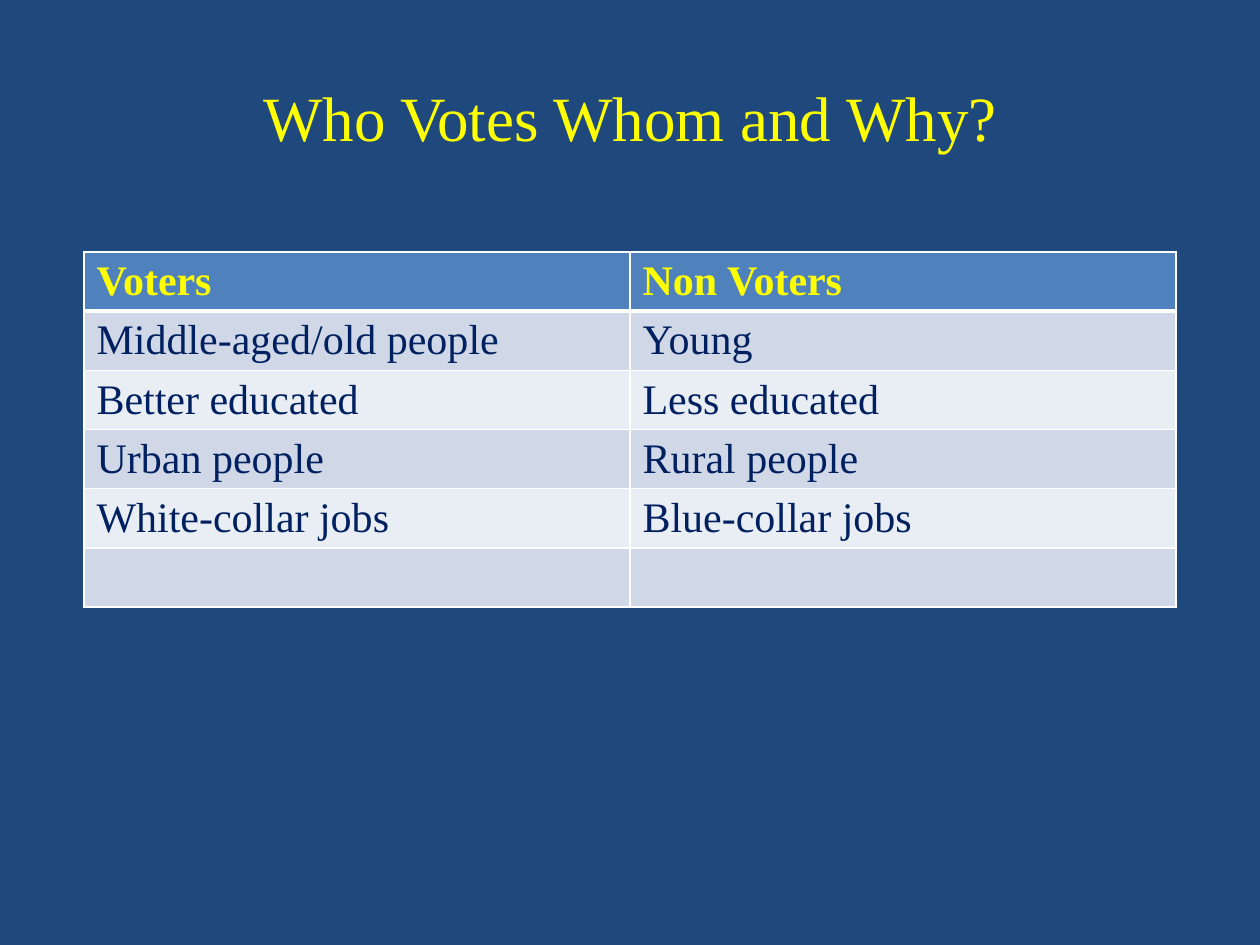
from lxml import etree
from pptx import Presentation
from pptx.dml.color import RGBColor
from pptx.enum.text import MSO_ANCHOR, PP_ALIGN
from pptx.oxml.ns import qn
from pptx.util import Inches, Pt

MIDDLE = MSO_ANCHOR.MIDDLE
CENTER = PP_ALIGN.CENTER

BLUE = RGBColor(0x1F, 0x49, 0x7D)
HEAD = RGBColor(0x4F, 0x81, 0xBD)
BANDS = [RGBColor(0xE9, 0xED, 0xF4), RGBColor(0xD0, 0xD8, 0xE8)]
YELLOW = RGBColor(0xFF, 0xFF, 0x00)
NAVY = RGBColor(0x00, 0x20, 0x60)
WHITE = RGBColor(0xFF, 0xFF, 0xFF)
FACE = "Times New Roman"

ROWS = [
    ("Voters", "Non Voters"),
    ("Middle-aged/old people", "Young"),
    ("Better educated", "Less educated"),
    ("Urban people", "Rural people"),
    ("White-collar jobs", "Blue-collar jobs"),
    ("", ""),
]


def style(font, color, **values):
    font.color.rgb = color
    for name, value in values.items():
        setattr(font, name, value)


def border(cell, side, width):
    props = cell._tc.get_or_add_tcPr()
    line = etree.SubElement(props, qn(f"a:ln{side}"), w=str(Pt(width)))
    fill = etree.SubElement(line, qn("a:solidFill"))
    etree.SubElement(fill, qn("a:srgbClr"), val=str(WHITE))


deck = Presentation()
deck.slide_width, deck.slide_height = Inches(10), Inches(7.5)
wide = deck.slide_width
slide = deck.slides.add_slide(deck.slide_layouts[5])
slide.background.fill.solid()
slide.background.fill.fore_color.rgb = BLUE

# Title
title = slide.shapes.title
title.left, title.top = int(wide * 0.05), Inches(0.3)
title.width, title.height = int(wide * 0.9), Inches(1.25)
frame = title.text_frame
frame.text = "Who Votes Whom and Why?"
frame.vertical_anchor = MIDDLE
para = frame.paragraphs[0]
para.alignment = CENTER
style(para.runs[0].font, YELLOW, name=FACE, size=Pt(36))

# Table of voters and non voters
edge = wide // 15
high = Inches(0.47)
table = slide.shapes.add_table(
    len(ROWS), 2, edge, Inches(2), wide - 2 * edge, high * len(ROWS)
).table
for r, texts in enumerate(ROWS):
    table.rows[r].height = high
    first = r == 0
    for c, text in enumerate(texts):
        cell = table.cell(r, c)
        for side in "LRTB":
            rule = (r, side) in [(0, "B"), (1, "T")]
            border(cell, side, 3 if rule else 1)
        cell.fill.solid()
        cell.fill.fore_color.rgb = HEAD if first else BANDS[r % 2]
        if text:
            run = cell.text_frame.paragraphs[0].add_run()
            run.text = text
            style(run.font, YELLOW if first else NAVY,
                  name=FACE, size=Pt(24), bold=first)

deck.save("out.pptx")
